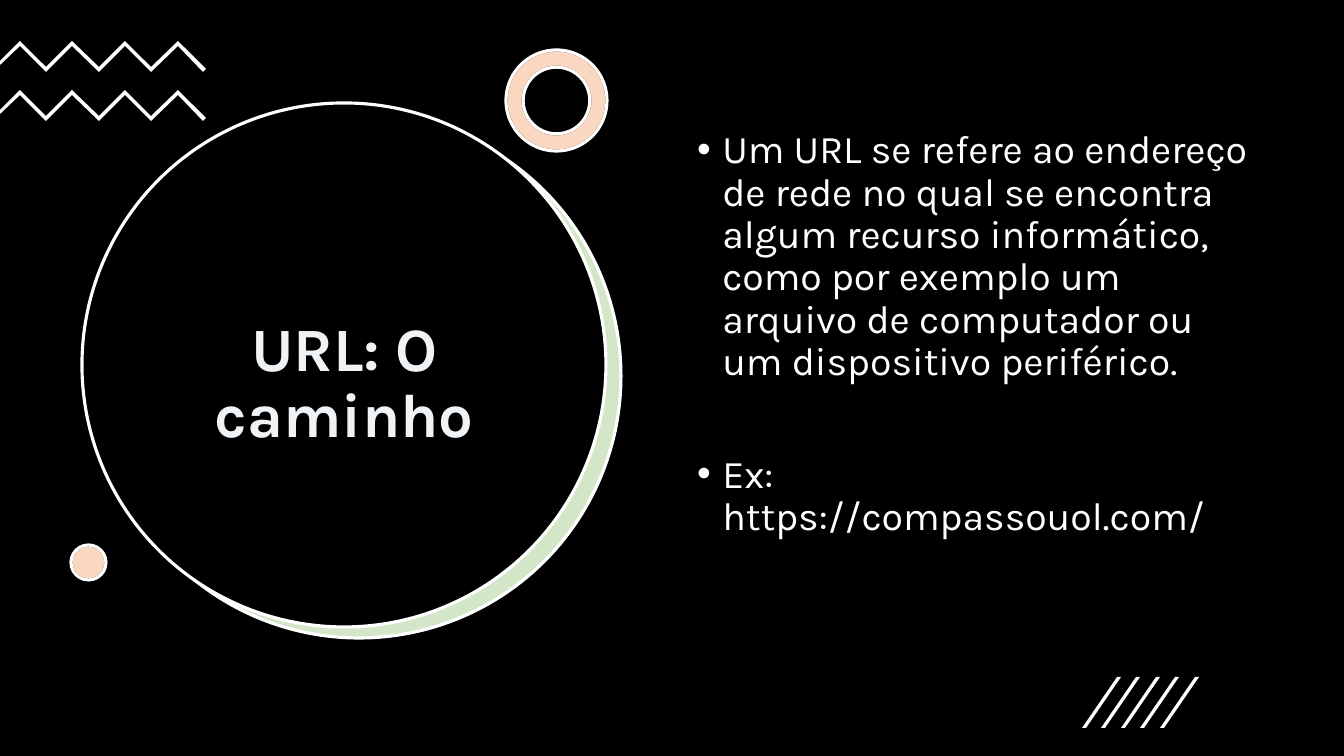
import pptx
import pptx.util
import pptx.dml.color
import pptx.enum.shapes
import pptx.enum.text
import pptx.oxml
import pptx.oxml.ns

PX = 914400 / 100.8
FONT = "Karla"
HEX = {
    "black": "000000",
    "white": "FFFFFF",
    "title": "F0F3F6",
    "green": "70AD47",
    "peach": "ED7D31",
}
KIND = pptx.enum.shapes.MSO_SHAPE
ANCHOR = pptx.enum.text.MSO_ANCHOR
FACTS = [
    "Um URL se refere ao endereço de rede no qual se encontra algum recurso "
    "informático, como por exemplo um arquivo de computador ou um "
    "dispositivo periférico.",
    "Ex: https://compassouol.com/",
]


def px(n):
    return pptx.util.Emu(round(n * PX))


def rgb(name):
    return pptx.dml.color.RGBColor.from_string(HEX[name])


def paint(shape, fill, line=None, alpha=100):
    """Set fill, outline and opacity (in percent), without a shadow."""
    shape.shadow.inherit = False
    shape.fill.solid()
    shape.fill.fore_color.rgb = rgb(fill)
    if alpha < 100:
        color = shape.fill._xPr.find(".//" + pptx.oxml.ns.qn("a:srgbClr"))
        node = pptx.oxml.parse_xml(
            f'<a:alpha {pptx.oxml.ns.nsdecls("a")} val="{alpha * 1000}"/>')
        color.append(node)
    if line:
        shape.line.color.rgb = rgb(line)
        shape.line.width = pptx.util.Pt(2.25)
    else:
        shape.line.fill.background()


def add_round(shapes, kind, x, y, size, fill, line=None, alpha=100):
    shape = shapes.add_shape(kind, px(x), px(y), px(size), px(size))
    if kind == KIND.DONUT:
        shape.adjustments[0] = 0.17
    paint(shape, fill, line, alpha)


def add_tint(shapes, kind, x, y, size):
    """Draw a pale peach shape: a white base under a thin layer of colour."""
    add_round(shapes, kind, x, y, size, "white", "black")
    add_round(shapes, kind, x, y, size, "peach", "white", 30)


def add_path(shapes, points):
    pen = shapes.build_freeform(*points[0], scale=PX)
    pen.add_line_segments(points[1:], close=True)
    paint(pen.convert_to_shape(), "white")


def add_waves(shapes):
    group = shapes.add_group_shape().shapes
    for top in (41, 90):
        crest = [(round(20 + 26.25 * i), top + 26 * (i % 2)) for i in range(7)]
        under = [(x, y + 5) for x, y in reversed(crest)]
        tip = [(206, top + 28), (203, top + 31)]
        edge = [(0, top + 24), (0, top + 20)]
        add_path(group, crest + tip + under + edge)


def add_dashes(shapes):
    group = shapes.add_group_shape().shapes
    for i in range(5):
        x = 1082 + round(19.4 * i)
        add_path(group, [(x + 4, 728), (x, 728), (x + 35, 677), (x + 39, 677)])


def place(holder, x, y, w, h, anchor):
    """Move a placeholder to its spot, in front of the shapes drawn so far."""
    holder.left, holder.top, holder.width, holder.height = map(px, (x, y, w, h))
    holder._element.getparent().append(holder._element)
    frame = holder.text_frame
    frame.word_wrap = True
    frame.auto_size = pptx.enum.text.MSO_AUTO_SIZE.NONE
    frame.vertical_anchor = anchor
    return frame


def style(para, size, color, bold=False):
    para.line_spacing = 0.9
    para.font.name = FONT
    para.font.size = pptx.util.Pt(size)
    para.font.bold = bold
    para.font.color.rgb = rgb(color)


def add_bullet(para):
    props = para._p.get_or_add_pPr()
    props.set("marL", "228600")
    props.set("indent", "-228600")
    space = pptx.oxml.ns.nsdecls("a")
    for tag in ('buFont {} typeface="Arial"', 'buChar {} char="•"'):
        props.append(pptx.oxml.parse_xml(f"<a:{tag.format(space)}/>"))


def fill_title(holder):
    frame = place(holder, 122, 207, 445, 355, ANCHOR.MIDDLE)
    frame.text = "URL: O caminho"
    para = frame.paragraphs[0]
    para.alignment = pptx.enum.text.PP_ALIGN.CENTER
    style(para, 44, "title", True)


def fill_body(holder):
    frame = place(holder, 687, 125, 576, 480, ANCHOR.TOP)
    frame.text = "\n".join(FACTS)
    for i, para in enumerate(frame.paragraphs):
        add_bullet(para)
        para.space_before = pptx.util.Pt(50 if i else 0)
        style(para, 28, "white")


def main():
    deck = pptx.Presentation()
    deck.slide_width, deck.slide_height = px(1344), px(756)
    slide = deck.slides.add_slide(deck.slide_layouts[1])
    slide.background.fill.solid()
    slide.background.fill.fore_color.rgb = rgb("black")
    shapes = slide.shapes

    add_round(shapes, KIND.OVAL, 98, 115, 524, "white")
    add_round(shapes, KIND.OVAL, 97, 114, 524, "green", "white", 30)
    add_round(shapes, KIND.OVAL, 82, 103, 524, "black", "white")
    fill_title(shapes.title)
    add_waves(shapes)
    add_tint(shapes, KIND.DONUT, 506, 50, 101)
    add_tint(shapes, KIND.OVAL, 71, 545, 35)
    fill_body(slide.placeholders[1])
    add_dashes(shapes)
    deck.save("out.pptx")


if __name__ == "__main__":
    main()
